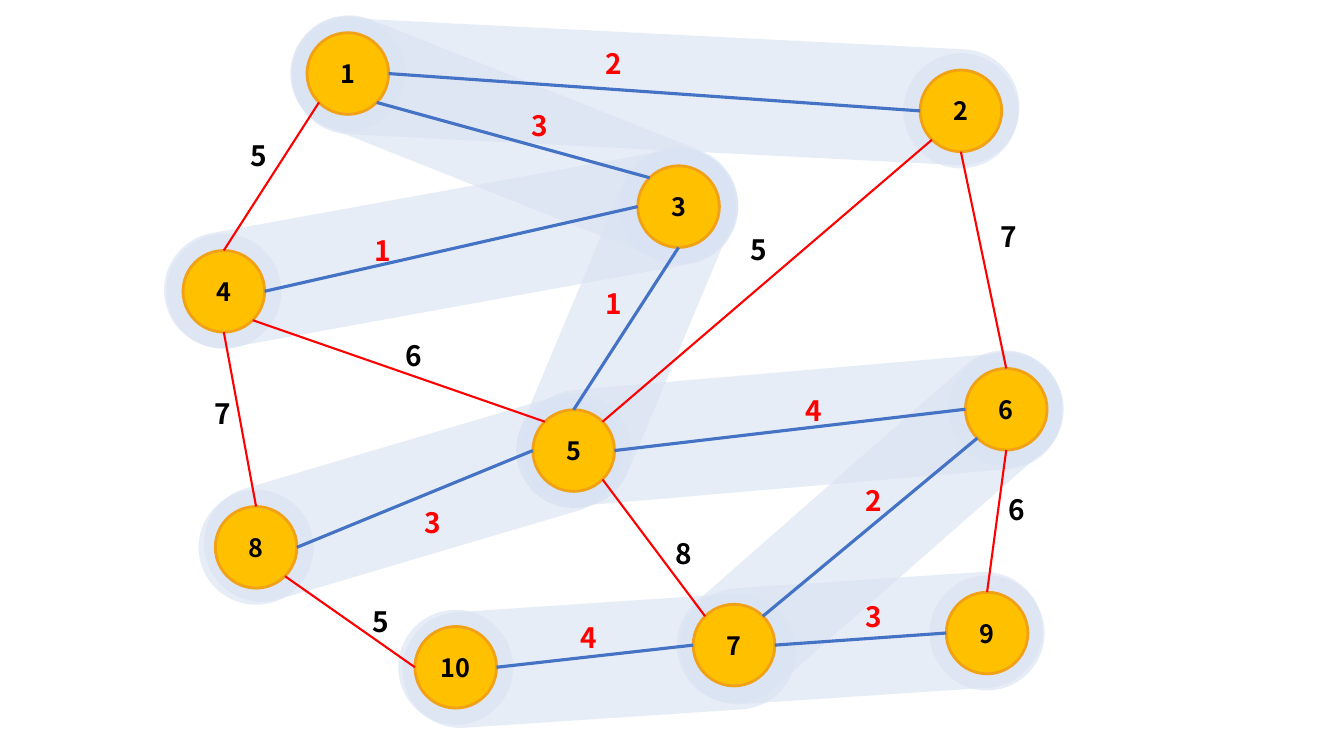
from dataclasses import dataclass
from math import cos, radians, sin

from lxml import etree
from pptx import Presentation
from pptx.dml.color import RGBColor
from pptx.enum.shapes import MSO_CONNECTOR, MSO_SHAPE
from pptx.enum.text import MSO_ANCHOR, MSO_AUTO_SIZE, PP_ALIGN
from pptx.oxml.ns import qn
from pptx.util import Inches, Pt

STRAIGHT = MSO_CONNECTOR.STRAIGHT
OVAL = MSO_SHAPE.OVAL
ROUNDED_RECTANGLE = MSO_SHAPE.ROUNDED_RECTANGLE
MIDDLE = MSO_ANCHOR.MIDDLE
CENTER = PP_ALIGN.CENTER
FIT_SHAPE = MSO_AUTO_SIZE.SHAPE_TO_FIT_TEXT

NODE_SIZE = 0.81
HALO_SIZE = 1.14
BAND_WIDTH = 1.15
LABEL_WIDTH, LABEL_HEIGHT = 0.36, 0.44

# Connection sites of an ellipse run counterclockwise from the top.
SITES = ("top", "top left", "left", "bottom left",
         "bottom", "bottom right", "right", "top right")

# Node number: centre x, centre y
NODES = {
    1: (3.45, 0.73), 2: (9.53, 1.1), 3: (6.73, 2.05), 4: (2.22, 2.89),
    5: (5.69, 4.47), 6: (9.98, 4.06), 7: (7.28, 6.4), 8: (2.54, 5.43),
    9: (9.79, 6.28), 10: (4.52, 6.62),
}
HALO_NODES = [number for number in NODES if number != 7]

# Left, top, length, rotation
BANDS = [
    (5.93, -2.7, 7.22, 272.9), (4.53, -0.96, 4.68, 291.7),
    (3.51, 2.83, 4.25, 253.5), (3.9, -0.42, 5.77, 259.7),
    (5.63, 1.36, 3.78, 202.7), (7.28, 1.57, 5.38, 265.1),
    (5.37, 4.6, 3.91, 266.2), (7.97, 4.53, 3.6, 266.2),
    (8.05, 2.87, 4.71, 228.7),
]

# Start node, site, end node, site, weight, label left, label top
TREE_EDGES = [
    (3, "top left", 1, "bottom right", 3, 5.17, 1.03),
    (2, "left", 1, "right", 2, 5.91, 0.41),
    (3, "bottom", 5, "top", 1, 5.91, 2.79),
    (3, "left", 4, "right", 1, 3.62, 2.27),
    (5, "left", 8, "right", 3, 4.11, 4.97),
    (6, "left", 5, "right", 4, 7.89, 3.85),
    (6, "bottom left", 7, "top right", 2, 8.49, 4.75),
    (10, "right", 7, "left", 4, 5.66, 6.11),
    (9, "left", 7, "right", 3, 8.49, 5.9),
]
OTHER_EDGES = [
    (4, "top", 1, "bottom left", 5, 2.39, 1.32),
    (2, "bottom", 6, "top", 7, 9.82, 2.13),
    (2, "bottom left", 5, "top right", 5, 7.35, 2.26),
    (4, "bottom", 8, "top", 7, 2.03, 3.88),
    (5, "top left", 4, "bottom right", 6, 3.92, 3.31),
    (5, "bottom right", 7, "top left", 8, 6.6, 5.27),
    (9, "top", 6, "bottom", 6, 9.9, 4.84),
    (10, "left", 8, "bottom right", 5, 3.6, 5.95),
]


@dataclass(frozen=True)
class Theme:
    """Colours, font and sizes of the graph."""
    font: str = "Noto Sans CJK KR"
    node_size: int = 18
    label_size: int = 20
    black: RGBColor = RGBColor(0x00, 0x00, 0x00)
    red: RGBColor = RGBColor(0xFF, 0x00, 0x00)
    blue: RGBColor = RGBColor(0x44, 0x72, 0xC4)
    amber: RGBColor = RGBColor(0xFF, 0xC0, 0x00)
    orange: RGBColor = RGBColor(0xF1, 0xA1, 0x16)
    pale_blue: RGBColor = RGBColor(0xDA, 0xE3, 0xF3)
    halo_alpha: int = 63
    node_line: float = 2
    tree_line: float = 2.25
    other_line: float = 1.5


class GraphSlide:
    """Draws the parts of a weighted graph on one slide."""

    def __init__(self, slide, theme):
        self.shapes = slide.shapes
        self.theme = theme
        self.nodes = {}

    def _shape(self, kind, left, top, width, height, color):
        shape = self.shapes.add_shape(
            kind, Inches(left), Inches(top), Inches(width), Inches(height))
        shape.shadow.inherit = False
        shape.fill.solid()
        shape.fill.fore_color.rgb = color
        return shape

    def _circle(self, number, size, color):
        x, y = NODES[number]
        return self._shape(OVAL, x - size / 2, y - size / 2, size, size, color)

    def _write(self, paragraph, text, size, color):
        paragraph.text = str(text)
        font = paragraph.font
        font.name, font.size, font.bold = self.theme.font, Pt(size), True
        font.color.rgb = color

    def _make_pale(self, shape):
        shape.line.fill.background()
        color = shape.element.spPr.find(qn("a:solidFill"))[0]
        alpha = etree.SubElement(color, qn("a:alpha"))
        alpha.set("val", str(self.theme.halo_alpha * 1000))

    def band(self, left, top, length, rotation):
        """Add a pale rounded band along a tree edge."""
        shape = self._shape(ROUNDED_RECTANGLE, left, top, BAND_WIDTH, length,
                            self.theme.pale_blue)
        shape.adjustments[0] = 0.5
        shape.rotation = rotation
        self._make_pale(shape)

    def halo(self, number):
        """Add a pale circle behind a node."""
        self._make_pale(self._circle(number, HALO_SIZE, self.theme.pale_blue))

    def node(self, number):
        """Add a numbered node."""
        shape = self._circle(number, NODE_SIZE, self.theme.amber)
        shape.line.color.rgb = self.theme.orange
        shape.line.width = Pt(self.theme.node_line)
        shape.text_frame.vertical_anchor = MIDDLE
        paragraph = shape.text_frame.paragraphs[0]
        paragraph.alignment = CENTER
        self._write(paragraph, number, self.theme.node_size, self.theme.black)
        self.nodes[number] = shape

    def _site_point(self, number, site):
        x, y = NODES[number]
        angle = radians(90 + 45 * SITES.index(site))
        radius = NODE_SIZE / 2
        return Inches(x + radius * cos(angle)), Inches(y - radius * sin(angle))

    def edge(self, start, start_site, end, end_site, color, width):
        """Add a line joined to a site on each of two nodes."""
        connector = self.shapes.add_connector(
            STRAIGHT, *self._site_point(start, start_site),
            *self._site_point(end, end_site))
        connector.line.color.rgb = color
        connector.line.width = Pt(width)
        etree.SubElement(connector.element.spPr, qn("a:effectLst"))
        joints = connector.element.nvCxnSpPr.cNvCxnSpPr
        for tag, number, site in (("a:stCxn", start, start_site),
                                  ("a:endCxn", end, end_site)):
            joint = etree.SubElement(joints, qn(tag))
            joint.set("id", str(self.nodes[number].shape_id))
            joint.set("idx", str(SITES.index(site)))

    def label(self, weight, left, top, color):
        """Add the weight of an edge."""
        box = self.shapes.add_textbox(Inches(left), Inches(top),
                                      Inches(LABEL_WIDTH), Inches(LABEL_HEIGHT))
        box.text_frame.word_wrap = False
        box.text_frame.auto_size = FIT_SHAPE
        self._write(box.text_frame.paragraphs[0], weight,
                    self.theme.label_size, color)


def main():
    """Build the graph slide and save it."""
    presentation = Presentation()
    presentation.slide_width = Inches(13.33)
    presentation.slide_height = Inches(7.5)
    theme = Theme()
    slide = presentation.slides.add_slide(presentation.slide_layouts[6])
    graph = GraphSlide(slide, theme)

    for band in BANDS:
        graph.band(*band)
    for number in HALO_NODES:
        graph.halo(number)
    for number in NODES:
        graph.node(number)
    for edges, line_color, width, label_color in (
            (TREE_EDGES, theme.blue, theme.tree_line, theme.red),
            (OTHER_EDGES, theme.red, theme.other_line, theme.black)):
        for *ends, weight, left, top in edges:
            graph.edge(*ends, line_color, width)
            graph.label(weight, left, top, label_color)

    presentation.save("out.pptx")


if __name__ == "__main__":
    main()
